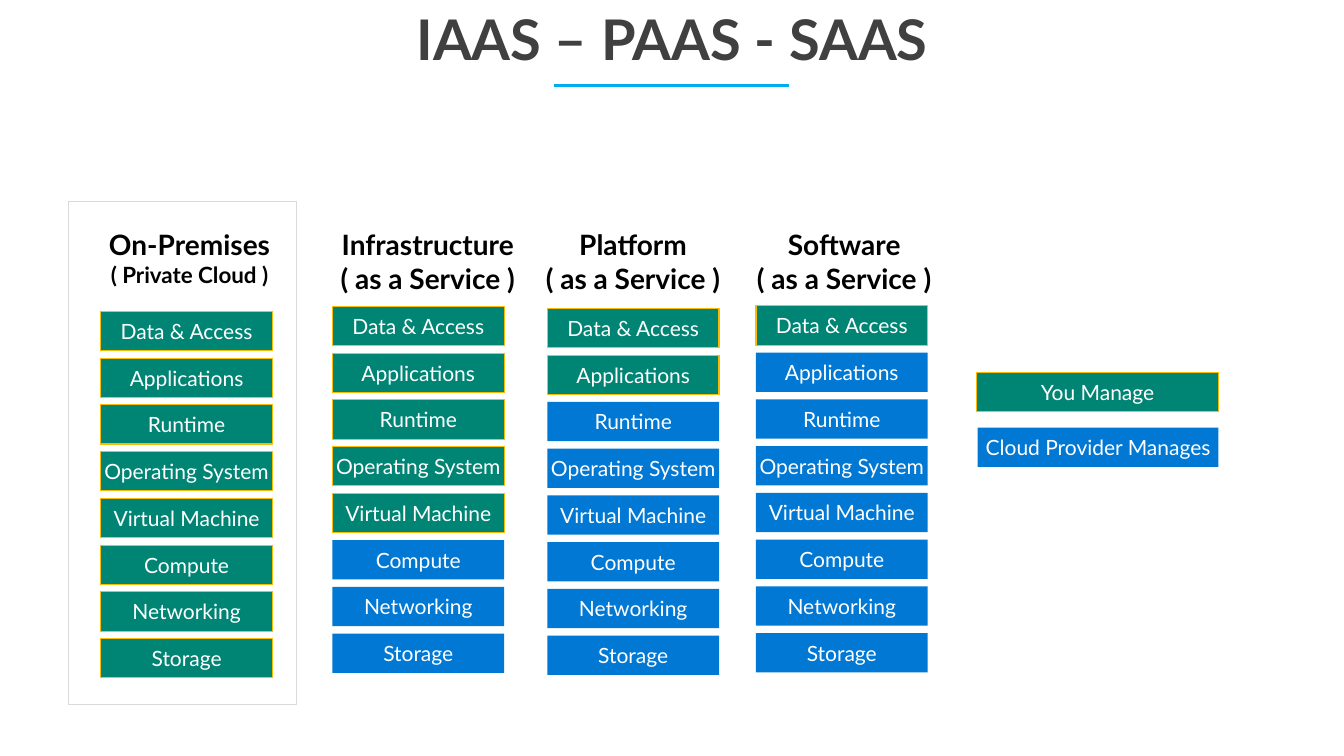
import pptx
import pptx.util
import pptx.dml.color
import pptx.enum.shapes
import pptx.enum.text
import pptx.oxml.ns
import lxml.etree

Pt = pptx.util.Pt

COLORS = {
    "title": "404040",
    "accent": "00AEEF",
    "heading": "000000",
    "label": "FFFFFF",
    "you": "008575",
    "you_edge": "F9BC00",
    "provider": "0078D4",
    "frame": "D9D9D9",
}
FONT = "Lato"
SLIDE_SIZE = (960, 540)

TITLE = "IAAS – PAAS - SAAS"
TITLE_BOX = (0, 0, 960, 55.2)
UNDERLINE = (396, 61.2, 563.8, 61.2)
FRAME = (49, 144, 162.7, 359.3)

LAYERS = [
    "Data & Access",
    "Applications",
    "Runtime",
    "Operating System",
    "Virtual Machine",
    "Compute",
    "Networking",
    "Storage",
]
MODELS = [
    {"heading": [("On-Premises", 20), ("( Private Cloud )", 16)],
     "center": 135.4, "left": 72, "top": 222.4, "you_manage": 8},
    {"heading": [("Infrastructure", 20), ("( as a Service )", 20)],
     "center": 305.6, "left": 237.5, "top": 218.9, "you_manage": 5},
    {"heading": [("Platform", 20), ("( as a Service )", 20)],
     "center": 452.2, "left": 391, "top": 220.3, "you_manage": 2},
    {"heading": [("Software", 20), ("( as a Service )", 20)],
     "center": 603, "left": 540, "top": 218.5, "you_manage": 1},
]
LEGEND = [
    ("You Manage", True, (697.5, 266.3, 173, 28)),
    ("Cloud Provider Manages", False, (698.4, 305.5, 172, 28)),
]
HEADING_TOP, HEADING_WIDTH, HEADING_HEIGHT = 162.7, 150, 46.8
LAYER_WIDTH, LAYER_HEIGHT, LAYER_PITCH = 122.6, 28, 33.4


def rgb(name):
    """Return the palette colour of that name."""
    return pptx.dml.color.RGBColor.from_string(COLORS[name])


def write(frame, lines, color, bold=False, anchor="TOP", inset=0):
    """Fill a text frame with centred (text, size) lines."""
    frame.word_wrap = True
    frame.vertical_anchor = getattr(pptx.enum.text.MSO_ANCHOR, anchor)
    frame.margin_left = frame.margin_right = 0
    frame.margin_top = frame.margin_bottom = Pt(inset)
    frame.text = "\n".join(text for text, size in lines)
    for paragraph, (text, size) in zip(frame.paragraphs, lines):
        paragraph.alignment = pptx.enum.text.PP_ALIGN.CENTER
        font = paragraph.runs[0].font
        font.name, font.size, font.bold = FONT, Pt(size), bold
        font.color.rgb = rgb(color)


def add_text(slide, box, lines, color, inset=0):
    """Add a bold, centred text box."""
    textbox = slide.shapes.add_textbox(*map(Pt, box))
    write(textbox.text_frame, lines, color, bold=True, inset=inset)


def add_rect(slide, box, fill=None, edge=None):
    """Add a rectangle with an optional fill and edge."""
    rect = slide.shapes.add_shape(
        pptx.enum.shapes.MSO_SHAPE.RECTANGLE, *map(Pt, box))
    rect.shadow.inherit = False
    if fill:
        rect.fill.solid()
        rect.fill.fore_color.rgb = rgb(fill)
    else:
        rect.fill.background()
    if edge:
        rect.line.color.rgb = rgb(edge)
        rect.line.width = Pt(0.75)
    else:
        rect.line.fill.background()
    return rect


def add_layer(slide, box, label, you_manage):
    """Add a labelled block coloured by who manages it."""
    block = (add_rect(slide, box, "you", "you_edge") if you_manage
             else add_rect(slide, box, "provider"))
    write(block.text_frame, [(label, 15)], "label", anchor="MIDDLE", inset=3.6)


def add_underline(slide):
    """Add the accent line under the title."""
    underline = slide.shapes.add_connector(
        pptx.enum.shapes.MSO_CONNECTOR.STRAIGHT, *map(Pt, UNDERLINE))
    underline.line.color.rgb = rgb("accent")
    underline.line.width = Pt(2.5)
    lxml.etree.SubElement(
        underline._element.spPr, pptx.oxml.ns.qn("a:effectLst"))


def add_model(slide, model):
    """Add one service model: its heading above its stack of layers."""
    heading_box = (model["center"] - HEADING_WIDTH / 2, HEADING_TOP,
                   HEADING_WIDTH, HEADING_HEIGHT)
    add_text(slide, heading_box, model["heading"], "heading")
    for row, layer in enumerate(LAYERS):
        box = (model["left"], model["top"] + row * LAYER_PITCH,
               LAYER_WIDTH, LAYER_HEIGHT)
        add_layer(slide, box, layer, row < model["you_manage"])


def main():
    """Build the service model slide."""
    deck = pptx.Presentation()
    deck.slide_width, deck.slide_height = map(Pt, SLIDE_SIZE)
    slide = deck.slides.add_slide(deck.slide_layouts[6])
    add_text(slide, TITLE_BOX, [(TITLE, 40)], "title", inset=3.6)
    add_underline(slide)
    for model in MODELS:
        add_model(slide, model)
    add_rect(slide, FRAME, edge="frame")
    for label, you_manage, box in LEGEND:
        add_layer(slide, box, label, you_manage)
    deck.save("out.pptx")


if __name__ == "__main__":
    main()
